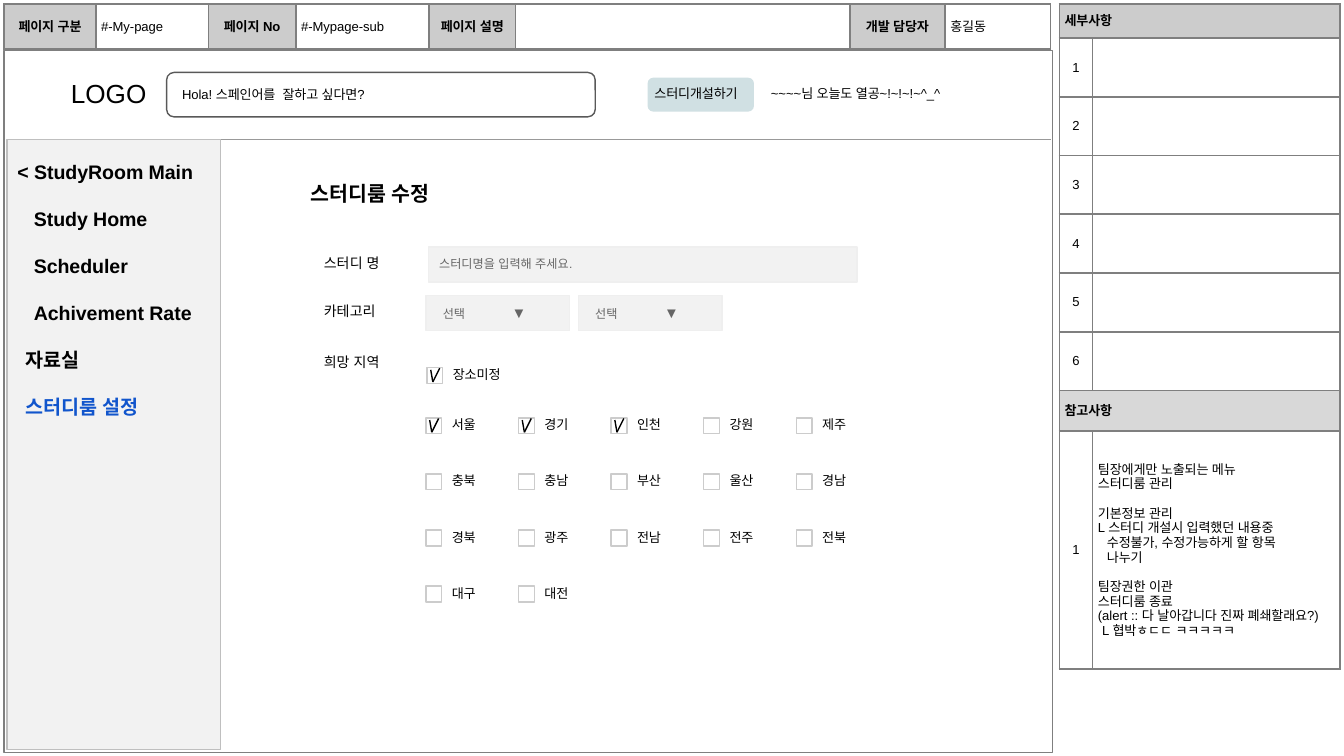
from itertools import product
from lxml.etree import SubElement
from pptx import Presentation
from pptx.dml.color import RGBColor
from pptx.enum.shapes import MSO_CONNECTOR, MSO_SHAPE
from pptx.enum.text import MSO_ANCHOR, MSO_AUTO_SIZE, PP_ALIGN
from pptx.oxml.ns import qn
from pptx.util import Cm, Pt

THEME = {
    "font": "Arial",
    "ink": "000000", "muted": "666666", "accent": "1155CC",
    "grid": "7F7F7F", "rule": "999999", "outline": "595959",
    "head": "CCCCCC", "subhead": "D8D8D8", "box": "CCCCCC",
    "panel": "F2F2F2", "panel_line": "BFBFBF", "field_line": "EFEFEF",
    "button": "D0E0E3",
    "logo": 14, "title": 11, "menu": 10.5, "arrow": 8,
    "label": 7.5, "body": 7, "hint": 6.5,
}

TITLE = "스터디룸 수정"
PAGE_INFO = [
    ("페이지 구분", 1.73, True), ("#-My-page", 2.13, False),
    ("페이지 No", 1.65, True), ("#-Mypage-sub", 2.52, False),
    ("페이지 설명", 1.63, True), ("", 6.32, False),
    ("개발 담당자", 1.8, True), ("홍길동", 1.99, False),
]
DETAIL_COUNT = 6
NOTES = [
    ("팀장에게만 노출되는 메뉴", 0, 0), ("스터디룸 관리", 0, 0),
    ("기본정보 관리", 0, 8), ("L 스터디 개설시 입력했던 내용중", 0, 0),
    ("수정불가, 수정가능하게 할 항목", 0.17, 0), ("나누기", 0.17, 0),
    ("팀장권한 이관", 0, 8), ("스터디룸 종료", 0, 0),
    ("(alert :: 다 날아갑니다 진짜 폐쇄할래요?)", 0, 0),
    ("L 협박ㅎㄷㄷ ㅋㅋㅋㅋㅋ", 0.08, 0),
]
MENU = [
    ("< StudyRoom Main", 0, "ink"), ("Study Home", 0.31, "ink"),
    ("Scheduler", 0.31, "ink"), ("Achivement Rate", 0.31, "ink"),
    ("자료실", 0.16, "ink"), ("스터디룸 설정", 0.16, "accent"),
]
FIELDS = [("스터디 명", 4.57), ("카테고리", 5.46), ("희망 지역", 6.43)]
REGIONS = [
    ["서울", "경기", "인천", "강원", "제주"],
    ["충북", "충남", "부산", "울산", "경남"],
    ["경북", "광주", "전남", "전주", "전북"],
    ["대구", "대전"],
]
CHECKED = {"장소미정", "서울", "경기", "인천"}


def color(key):
    return RGBColor.from_string(THEME[key])


def apply(obj, values):
    for name, value in values.items():
        setattr(obj, name, value)


def write(p, text, size="body", ink="ink", bold=False):
    r = p.add_run()
    r.text = text
    apply(r.font, {"name": THEME["font"], "size": Pt(THEME[size]), "bold": bold})
    r.font.color.rgb = color(ink)
    SubElement(r._r.get_or_add_rPr(), qn("a:ea"), typeface=THEME["font"])


def indent(p, cm):
    apply_xml = {"marL": str(Cm(cm)), "indent": "0"}
    p._p.get_or_add_pPr().attrib.update(apply_xml)


def frame(tf, anchor=MSO_ANCHOR.TOP, inset=0.25):
    apply(tf, {"word_wrap": True, "auto_size": MSO_AUTO_SIZE.NONE,
               "vertical_anchor": anchor})
    apply(tf, {f"margin_{side}": Cm(inset)
               for side in ("left", "top", "right", "bottom")})
    return tf.paragraphs[0]


def add_text(s, text, x, y, w, h=0.74, **style):
    p = frame(s.add_textbox(Cm(x), Cm(y), Cm(w), Cm(h)).text_frame)
    if text:
        write(p, text, **style)
    return p


def add_box(s, x, y, w, h, fill=None, line=None, kind=MSO_SHAPE.RECTANGLE):
    sp = s.add_shape(kind, Cm(x), Cm(y), Cm(w), Cm(h))
    sp.shadow.inherit = False
    if fill:
        sp.fill.solid()
        sp.fill.fore_color.rgb = color(fill)
    else:
        sp.fill.background()
    if line:
        sp.line.color.rgb = color(line)
        sp.line.width = Pt(0.75)
    else:
        sp.line.fill.background()
    return sp


def add_line(s, x1, y1, x2, y2, ink="ink"):
    c = s.add_connector(MSO_CONNECTOR.STRAIGHT, Cm(x1), Cm(y1), Cm(x2), Cm(y2))
    c.line.color.rgb = color(ink)
    c.line.width = Pt(0.75)
    SubElement(c._element.spPr, qn("a:effectLst"))


def add_grid(s, x, y, cols, rows):
    t = s.add_table(len(rows), len(cols), Cm(x), Cm(y),
                    Cm(sum(cols)), Cm(sum(rows))).table
    apply(t, {"first_row": False, "horz_banding": False})
    for col, w in zip(t.columns, cols):
        col.width = Cm(w)
    for row, h in zip(t.rows, rows):
        row.height = Cm(h)
    return t


def fill_cell(cell, lines, fill=None, bold=False, center=False, pad=0.08):
    tcPr = cell._tc.get_or_add_tcPr()
    for side in ("L", "R", "T", "B"):
        ln = SubElement(tcPr, qn(f"a:ln{side}"), w=str(Pt(1)))
        solid = SubElement(ln, qn("a:solidFill"))
        SubElement(solid, qn("a:srgbClr"), val=THEME["grid"])
    if fill:
        cell.fill.solid()
        cell.fill.fore_color.rgb = color(fill)
    else:
        cell.fill.background()
    apply(cell, {"vertical_anchor": MSO_ANCHOR.MIDDLE, "margin_left": Cm(0.1),
                 "margin_right": Cm(0.1), "margin_top": Cm(pad), "margin_bottom": Cm(pad)})
    tf = cell.text_frame
    for i, (text, left, before) in enumerate(lines):
        p = tf.add_paragraph() if i else tf.paragraphs[0]
        apply(p, {"alignment": PP_ALIGN.CENTER if center else PP_ALIGN.LEFT,
                  "space_before": Pt(before)})
        indent(p, left)
        if text:
            write(p, text, bold=bold)
        else:
            p._p.get_or_add_endParaRPr().set("sz", str(THEME["body"] * 100))


def add_check(s, text, x, y, label_w=1.32):
    g = s.add_group_shape().shapes
    add_box(g, x, y, 0.3, 0.3, line="box")
    add_text(g, text, x + 0.24, y - 0.27, label_w)
    if text in CHECKED:
        add_line(g, x + 0.07, y + 0.04, x + 0.11, y + 0.27)
        add_line(g, x + 0.24, y + 0.01, x + 0.11, y + 0.27)


def add_tables(s):
    t = add_grid(s, 0.08, 0.08, [w for _, w, _ in PAGE_INFO], [0.85])
    for cell, (text, _, head) in zip(t.rows[0].cells, PAGE_INFO):
        fill_cell(cell, [(text, 0, 0)], "head" if head else None, head, head)

    sections = {0: ("세부사항", "head", 0.08), DETAIL_COUNT + 1: ("참고사항", "subhead", 0.2)}
    t = add_grid(s, 20.02, 0.08, [0.63, 4.67], [0.64] + [1.11] * DETAIL_COUNT + [0.77, 4.5])
    last = len(t.rows) - 1
    for i, j in product(range(last + 1), range(2)):
        cell = t.cell(i, j)
        if i in sections:
            text, fill, pad = sections[i]
            fill_cell(cell, [(text if j == 0 else "", 0, 0)], fill, True, pad=pad)
        elif j == 0:
            fill_cell(cell, [("1" if i == last else str(i), 0, 0)], center=True, pad=0.2)
        else:
            fill_cell(cell, NOTES if i == last else [("", 0, 0)], pad=0.2)
    for i in sections:
        t.cell(i, 0).merge(t.cell(i, 1))


def add_header(s):
    g = s.add_group_shape().shapes
    add_text(g, "LOGO", 1.09, 1.22, 2, 1, size="logo")
    sp = add_box(g, 3.15, 1.37, 8.1, 0.84, line="outline", kind=MSO_SHAPE.ROUNDED_RECTANGLE)
    p = frame(sp.text_frame, MSO_ANCHOR.MIDDLE)
    p.alignment = PP_ALIGN.LEFT
    write(p, "Hola! 스페인어를  잘하고 싶다면?")
    add_box(g, 12.24, 1.47, 2.01, 0.64, fill="button", kind=MSO_SHAPE.ROUNDED_RECTANGLE)
    add_text(g, "스터디개설하기", 12.12, 1.37, 2.34)
    add_text(s, "~~~~님 오늘도 열공~!~!~!~^_^", 14.32, 1.37, 4.4)


def add_menu(s):
    add_box(s, 0.13, 2.64, 4.04, 11.53, "panel", "panel_line")
    p = add_text(s, "", 0.08, 2.79, 4.47, 6)
    tf = p._parent
    for i, (text, left, ink) in enumerate(MENU):
        p = tf.add_paragraph() if i else p
        apply(p, {"line_spacing": Pt(12), "space_after": Pt(13.2)})
        indent(p, left)
        write(p, text, "menu", ink, True)


def add_form(s):
    for text, y in FIELDS:
        add_text(s, text, 5.87, y, 2.2, size="label")
    add_box(s, 8.1, 4.67, 8.1, 0.66, "panel", "field_line")
    add_text(s, "스터디명을 입력해 주세요.", 8.05, 4.6, 4.34, size="hint", ink="muted")
    for x in (8.05, 10.93):
        add_box(s, x, 5.59, 2.72, 0.66, "panel", "field_line")
        p = add_text(s, "선택\t", x + 0.07, 5.49, 2.64, size="hint", ink="muted")
        write(p, "▼", "arrow", "muted")
        tabs = SubElement(p._p.get_or_add_pPr(), qn("a:tabLst"))
        SubElement(tabs, qn("a:tab"), pos=str(Cm(1.3)), algn="l")
    add_check(s, "장소미정", 8.07, 6.95, 1.68)
    for i, row in enumerate(REGIONS):
        for j, text in enumerate(row):
            add_check(s, text, 8.05 + 1.75 * j, 7.9 + 1.06 * i)


def main():
    prs = Presentation()
    apply(prs, {"slide_width": Cm(25.4), "slide_height": Cm(14.29)})
    slide = prs.slides.add_slide(prs.slide_layouts[5])
    s = slide.shapes
    apply(s.title, {"left": Cm(5.61), "top": Cm(3.18), "width": Cm(3.73), "height": Cm(0.74)})
    p = frame(s.title.text_frame)
    p.alignment = PP_ALIGN.LEFT
    write(p, TITLE, "title", bold=True)
    add_box(s, 0.08, 0.96, 19.81, 13.26, line="grid")
    add_line(s, 0.13, 2.64, 19.86, 2.64, "rule")
    add_tables(s)
    add_header(s)
    add_menu(s)
    add_form(s)
    prs.save("out.pptx")


if __name__ == "__main__":
    main()
